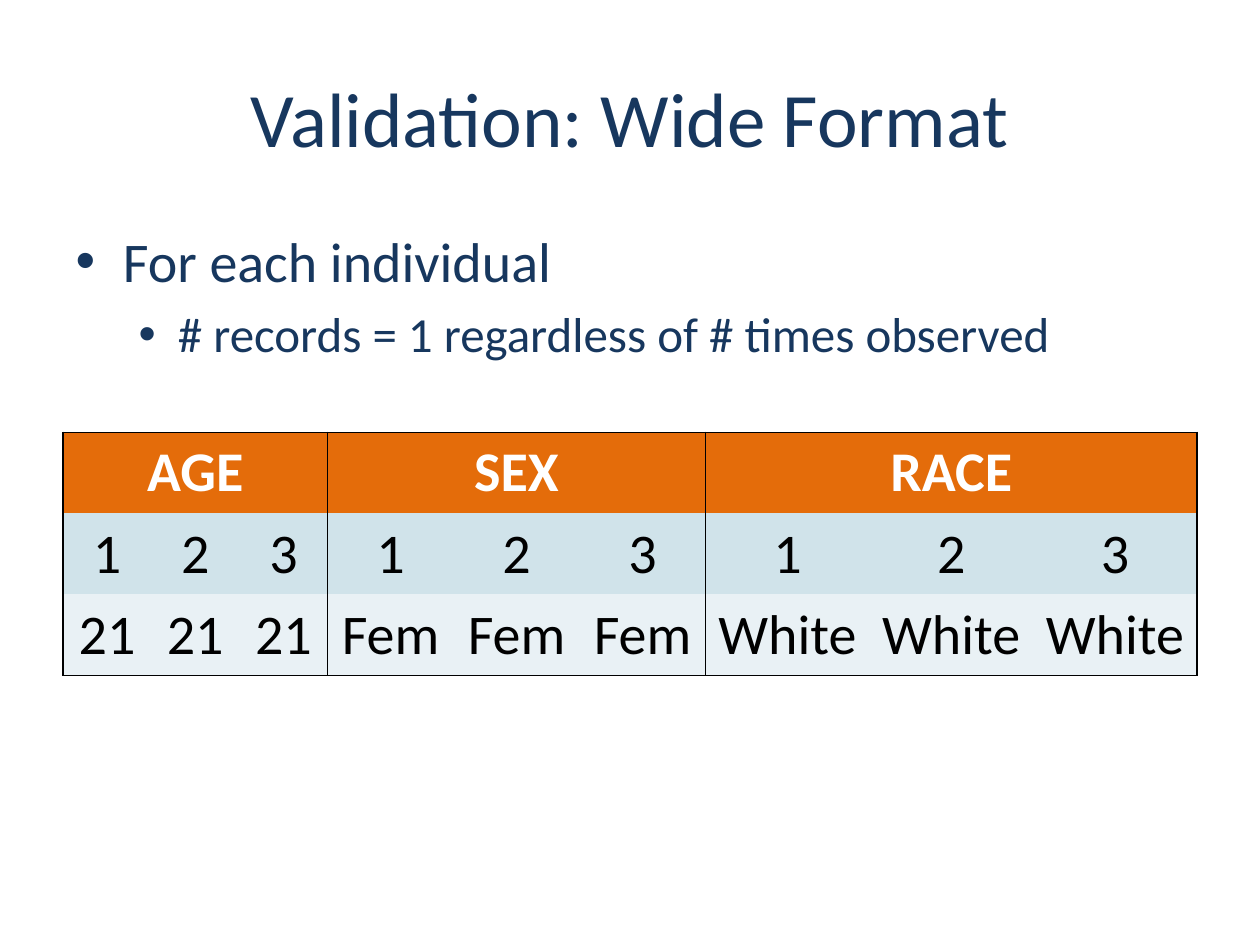
"""Build a slide on validating wide-format data, with a table of repeated measures."""
from lxml import etree
from pptx import Presentation, util as u
from pptx.dml.color import RGBColor
from pptx.enum import text
from pptx.oxml import ns

COLORS = {"navy": "17375E", "orange": "E46C0A", "blue": "D0E3EA",
          "pale": "E9F1F5", "white": "FFFFFF", "black": "000000"}
GROUPS = [("AGE", "21", 50.4), ("SEX", "Fem", 72), ("RACE", "White", 93.6)]
TIMES = 3


class SlideBuilder:
    """Holds the style and the current slide."""

    font = "Calibri"

    def __init__(self, slide):
        self.slide = slide

    def style(self, para, size, color, bold=False):
        para.font.name, para.font.size, para.font.bold = self.font, u.Pt(size), bold
        para.font.color.rgb = RGBColor.from_string(COLORS[color])

    def place(self, box, left, top, width, height):
        box.left, box.top, box.width, box.height = map(u.Pt, (left, top, width, height))

    def title(self, words, *frame):
        box = self.slide.shapes.title
        self.place(box, *frame)
        box.text_frame.text = words
        box.text_frame.vertical_anchor = text.MSO_ANCHOR.MIDDLE
        para = box.text_frame.paragraphs[0]
        para.alignment = text.PP_ALIGN.CENTER
        self.style(para, 44, "navy")

    def bullets(self, lines, *frame):
        box = self.slide.placeholders[1]
        self.place(box, *frame)
        box.text_frame.text = "\n".join(lines)
        for level, para in enumerate(box.text_frame.paragraphs):
            para.level = level
            self.style(para, 32 - 4 * level, "navy")
            props = para._p.get_or_add_pPr()
            etree.SubElement(props, ns.qn("a:buFont")).set("typeface", "Arial")
            etree.SubElement(props, ns.qn("a:buChar")).set("char", "•")

    def borders(self, cell, shown):
        props = cell._tc.get_or_add_tcPr()
        for index, side in enumerate("LRTB"):
            line = etree.Element(ns.qn(f"a:ln{side}"), w=str(u.Pt(1)))
            if side in shown:
                fill = etree.SubElement(line, ns.qn("a:solidFill"))
                etree.SubElement(fill, ns.qn("a:srgbClr")).set("val", COLORS["black"])
            else:
                etree.SubElement(line, ns.qn("a:noFill"))
            props.insert(index, line)

    def cell(self, cell, words, fill, color, bold, shown):
        cell.text = words
        cell.vertical_anchor = text.MSO_ANCHOR.BOTTOM
        cell.fill.solid()
        cell.fill.fore_color.rgb = RGBColor.from_string(COLORS[fill])
        para = cell.text_frame.paragraphs[0]
        para.alignment = text.PP_ALIGN.CENTER
        self.style(para, 32, color, bold)
        self.borders(cell, shown)

    def wide_table(self, groups, left, top, row_height):
        width = TIMES * sum(group[2] for group in groups)
        table = self.slide.shapes.add_table(
            3, TIMES * len(groups), u.Pt(left), u.Pt(top), u.Pt(width), u.Pt(3 * row_height)).table
        for number, (name, value, column_width) in enumerate(groups):
            first = number * TIMES
            for time in range(TIMES):
                column = first + time
                table.columns[column].width = u.Pt(column_width)
                sides = "L" if time == 0 else "R" if time == TIMES - 1 else ""
                divider = "R" if time == 0 and number > 0 else ""
                self.cell(table.cell(0, column), name if time == 0 else "", "orange", "white",
                          True, "LRT" if time == 0 else sides + "T")
                self.cell(table.cell(1, column), str(time + 1), "blue", "black",
                          False, sides + divider)
                self.cell(table.cell(2, column), value, "pale", "black",
                          False, sides + divider + "B")
            table.cell(0, first).merge(table.cell(0, first + TIMES - 1))


def main():
    deck = Presentation()
    deck.slide_width, deck.slide_height = u.Pt(720), u.Pt(540)
    page = SlideBuilder(deck.slides.add_slide(deck.slide_layouts[1]))
    page.title("Validation: Wide Format", 36, 21.6, 648, 90)
    page.bullets(["For each individual", "# records = 1 regardless of # times observed"],
                 36, 126, 648, 356.4)
    page.wide_table(GROUPS, 36, 247, 46.2)
    deck.save("out.pptx")


if __name__ == "__main__":
    main()
